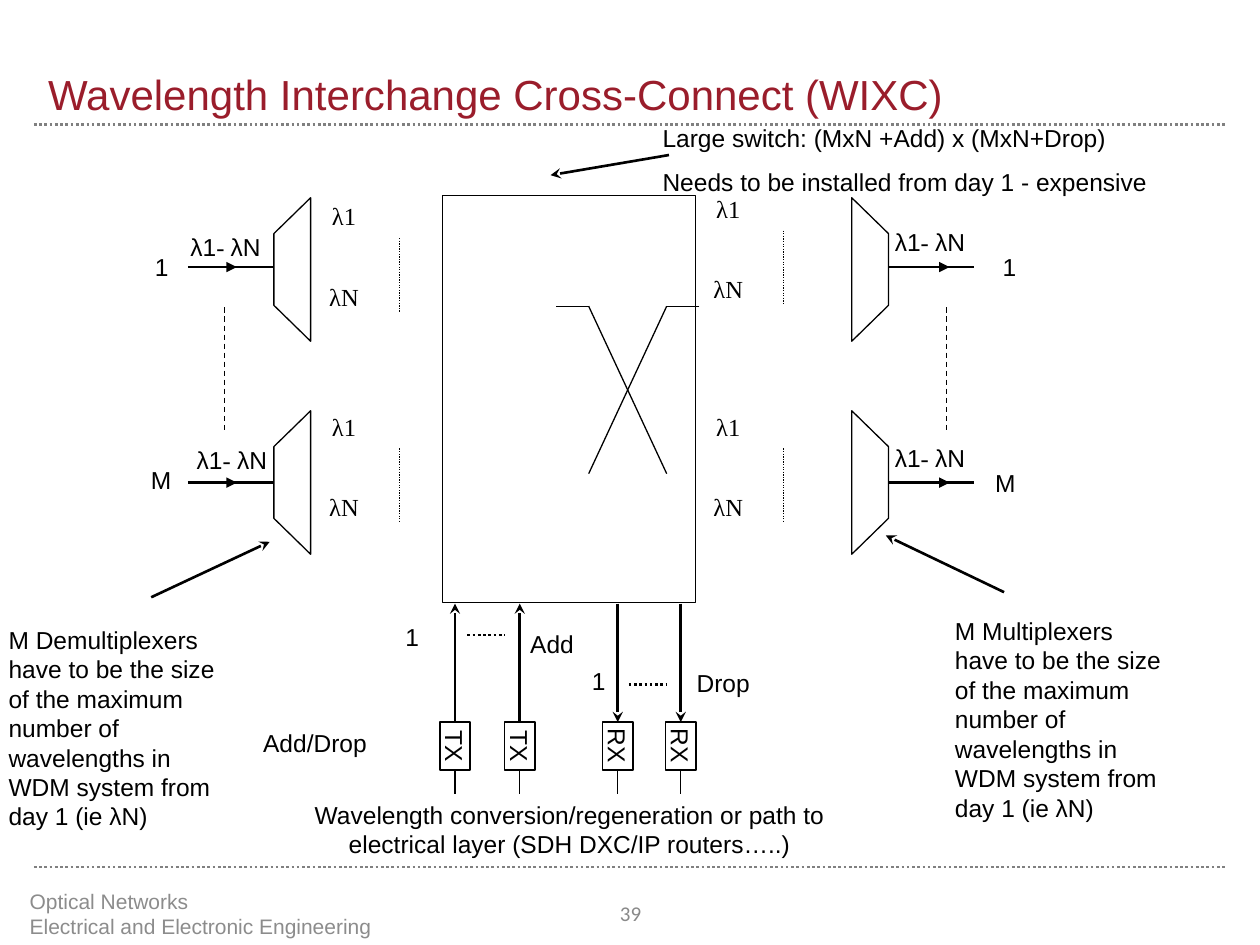
import pptx
import pptx.util
import pptx.dml.color
import pptx.enum.dml
import pptx.enum.shapes
import pptx.enum.text
import pptx.oxml.ns
from dataclasses import dataclass
from lxml import etree

Pt = pptx.util.Pt
RGB = pptx.dml.color.RGBColor.from_string
ALIGN = pptx.enum.text.PP_ALIGN
ANCHOR = pptx.enum.text.MSO_ANCHOR
DOT = pptx.enum.dml.MSO_LINE.ROUND_DOT
DASH = pptx.enum.dml.MSO_LINE.DASH
qn = pptx.oxml.ns.qn


@dataclass(frozen=True)
class Theme:
    """Colours, type sizes, fonts and line widths of the slide."""
    ink: str = "000000"
    paper: str = "FFFFFF"
    title: str = "9A1D2B"
    rule: str = "808080"
    footer: str = "8C8C8C"
    number: str = "898989"
    title_size: float = 24
    body_size: float = 14
    footer_size: float = 12
    sans: str = "Arial"
    serif: str = "Times New Roman"
    number_font: str = "Calibri"
    thin: float = 0.75
    thick: float = 1.5


T = Theme()


def style(p, size=T.body_size, color=T.ink, font=T.sans, align=ALIGN.LEFT):
    """Set the font and alignment of a paragraph."""
    p.alignment = align
    p.font.size, p.font.name = Pt(size), font
    p.font.color.rgb = RGB(color)


def text(sl, box, lines, anchor=ANCHOR.TOP, gap=0, wrap=True, **look):
    """Add a text box with one paragraph per line."""
    tf = sl.shapes.add_textbox(*map(Pt, box)).text_frame
    tf.word_wrap, tf.vertical_anchor = wrap, anchor
    for i, line in enumerate(lines):
        p = tf.add_paragraph() if i else tf.paragraphs[0]
        p.text = line
        style(p, **look)
        if i:
            p.space_before = Pt(gap)
    return tf


def line(sl, x1, y1, x2, y2, width=T.thin, dash=None, arrow=None, color=T.ink):
    """Add a straight line with an optional dash and end arrowhead."""
    cx = sl.shapes.add_connector(
        pptx.enum.shapes.MSO_CONNECTOR.STRAIGHT, *map(Pt, (x1, y1, x2, y2)))
    cx.line.width, cx.line.color.rgb = Pt(width), RGB(color)
    if dash:
        cx.line.dash_style = dash
    if arrow:
        etree.SubElement(cx.line._get_or_add_ln(), qn("a:tailEnd"), type=arrow)
    etree.SubElement(cx._element.spPr, qn("a:effectLst"))


def outline(sp, fill=None):
    """Give a shape a thin ink outline and an optional fill."""
    sp.shadow.inherit = False
    sp.line.width, sp.line.color.rgb = Pt(T.thin), RGB(T.ink)
    if fill:
        sp.fill.solid()
        sp.fill.fore_color.rgb = RGB(fill)
    else:
        sp.fill.background()


def rect(sl, x, y, w, h, fill=None):
    """Add an outlined rectangle."""
    sp = sl.shapes.add_shape(
        pptx.enum.shapes.MSO_SHAPE.RECTANGLE, *map(Pt, (x, y, w, h)))
    outline(sp, fill)
    return sp


def frame(sl, x, w):
    """Place the title, the two rules and the footer."""
    for y in (71.3, 495.4):
        line(sl, x, y, x + w, y, T.thick, DOT, color=T.rule)
    text(sl, (x + 1, 0, w, 71.3), ["Wavelength Interchange Cross-Connect (WIXC)"],
         ANCHOR.BOTTOM, size=T.title_size, color=T.title)
    text(sl, (x - 9.5, 507.6, 304.6, 28.8),
         ["Optical Networks", "Electrical and Electronic\u00a0Engineering".replace("\u00a0", " ")],
         ANCHOR.MIDDLE, size=T.footer_size, color=T.footer)
    text(sl, (331.9, 507.6, 56.9, 28.8), ["39"], ANCHOR.MIDDLE, size=T.footer_size,
         color=T.number, font=T.number_font, align=ALIGN.CENTER)


def mux(sl, x, y, w, h, wide_left):
    """Draw a multiplexer whose wide side faces the switch."""
    wide, narrow = (x, x + w) if wide_left else (x + w, x)
    pts = [(wide, y), (narrow, y + h / 4), (narrow, y + h * 3 / 4), (wide, y + h)]
    pts = [(Pt(a), Pt(b)) for a, b in pts]
    fb = sl.shapes.build_freeform(*pts[0], scale=1.0)
    fb.add_line_segments(pts[1:], close=True)
    outline(fb.convert_to_shape(), T.paper)


def fiber(sl, x, y, w, arrow_at, label_at, name, name_at):
    """Draw a fibre with its direction, wavelength range and port name."""
    line(sl, x, y, x + arrow_at, y, T.thick, arrow="triangle")
    line(sl, x + arrow_at - 7, y, x + w, y, T.thick)
    tf = text(sl, (*label_at, 70.6, 23.8), [""], align=ALIGN.CENTER)
    for part, font in (("λ1", T.sans), ("- ", T.serif), ("λN", T.sans)):
        r = tf.paragraphs[0].add_run()
        r.text, r.font.name = part, font
    text(sl, (*name_at, 30, 24.5), [name])


def channels(sl, x, y):
    """Label the wavelengths between a multiplexer and the switch."""
    for dy, label in ((0, "λ1"), (45.8, "λN")):
        text(sl, (x, y + dy, 36, 23.8), [label], font=T.serif, align=ALIGN.CENTER)
    line(sl, x + 49.7, y + 24.5, x + 49.7, y + 67, dash=DOT)


def transceiver(sl, x, top, kind):
    """Draw a turned TX or RX box with its switch arrow and lower stub."""
    w, h, y = 27.4, 17.3, top + 67.7
    ends = (y, top) if kind == "TX" else (top, y)
    line(sl, x, ends[0], x, ends[1], T.thick, arrow="stealth")
    sp = rect(sl, x - w / 2, y + (w - h) / 2, w, h)
    sp.rotation = 90
    tf = sp.text_frame
    tf.margin_left = tf.margin_right = tf.margin_top = tf.margin_bottom = 0
    tf.vertical_anchor = ANCHOR.MIDDLE
    tf.paragraphs[0].text = kind
    style(tf.paragraphs[0], align=ALIGN.CENTER)
    line(sl, x, y + w, x, y + w + 13.7)


def switch(sl, x, y, w, h):
    """Draw the switch box and its crossing symbol."""
    rect(sl, x, y, w, h, T.paper)
    mid, top, bottom = x + 106, y + 63.4, y + 159.1
    for d in (-1, 1):
        line(sl, mid + d * 40.9, top, mid + d * 22.3, top)
        line(sl, mid + d * 22.3, top, mid - d * 22.3, bottom)


def add_drop(sl, x, y):
    """Place the add and drop transceivers and their labels below the switch."""
    for dx, kind in ((7.3, "TX"), (44.3, "TX"), (100.3, "RX"), (136.3, "RX")):
        transceiver(sl, x + dx, y, kind)
    labels = (("1", -28.1, 7.2), ("Add", 43.2, 10.8), ("1", 78.5, 32.4), ("Drop", 138.3, 33.1))
    for label, dx, dy in labels:
        text(sl, (x + dx, y + dy, 53, 23.8), [label])
    for dx, dy in ((14.4, 18), (106.6, 46.1)):
        line(sl, x + dx, y + dy, x + dx + 21.6, y + dy, T.thick, DOT)
    text(sl, (x - 109.4, y + 67.7, 74.2, 24.5), ["Add/Drop"], wrap=False)
    text(sl, (x - 84.9, y + 108.7, 315.4, 41),
         ["Wavelength conversion/regeneration or path to electrical layer (SDH DXC/IP routers…..)"],
         align=ALIGN.CENTER)


def callouts(sl):
    """Place the three remarks and their arrows."""
    for kind, box, arrow in (
            ("Demultiplexers", (-2.2, 353.5, 138.2, 126), (86.4, 341.3, 154.1, 309.6)),
            ("Multiplexers", (538.6, 348.5, 134.6, 126), (573.8, 338.4, 506.2, 306))):
        text(sl, box, [f"M {kind} have to be the size of the maximum number of "
                       "wavelengths in WDM system from day 1 (ie λN)"])
        line(sl, *arrow, T.thick, arrow="stealth")
    text(sl, (371.5, 67, 348, 49.7),
         ["Large switch: (MxN +Add) x (MxN+Drop)",
          "Needs to be installed from day 1 - expensive"], gap=8)
    line(sl, 382.3, 88.6, 314.6, 100.1, T.thick, arrow="stealth")


def main():
    """Build and save the slide."""
    prs = pptx.Presentation()
    prs.slide_width, prs.slide_height = Pt(720), Pt(540)
    sl = prs.slides.add_slide(prs.slide_layouts[6])
    frame(sl, 19.4, 681.2)
    for y in (113, 234.7):
        mux(sl, 156.5, y, 21, 82, False)
        mux(sl, 486.7, y, 21, 82, True)
    for x in (128.2, 540.7):
        line(sl, x, 175.7, x, 245.5, dash=DASH)
    fiber(sl, 107.3, 152.6, 49, 28, (93.6, 128.9), "1", (81.4, 140.4))
    fiber(sl, 107.3, 275.8, 49, 28, (97.2, 250.6), "M", (79.2, 262.1))
    fiber(sl, 507.6, 152.6, 49, 35, (496.1, 126), "1", (565.9, 140.4))
    fiber(sl, 507.6, 275.8, 49, 35, (496.1, 249.8), "M", (561.6, 264.2))
    for x, y in ((178.6, 111.6), (178.6, 231.8), (398.2, 107.3), (398.2, 231.8)):
        channels(sl, x, y)
    callouts(sl)
    add_drop(sl, 252.7, 344.9)
    switch(sl, 252.7, 111.6, 144.7, 232.6)
    prs.save("out.pptx")


if __name__ == "__main__":
    main()
